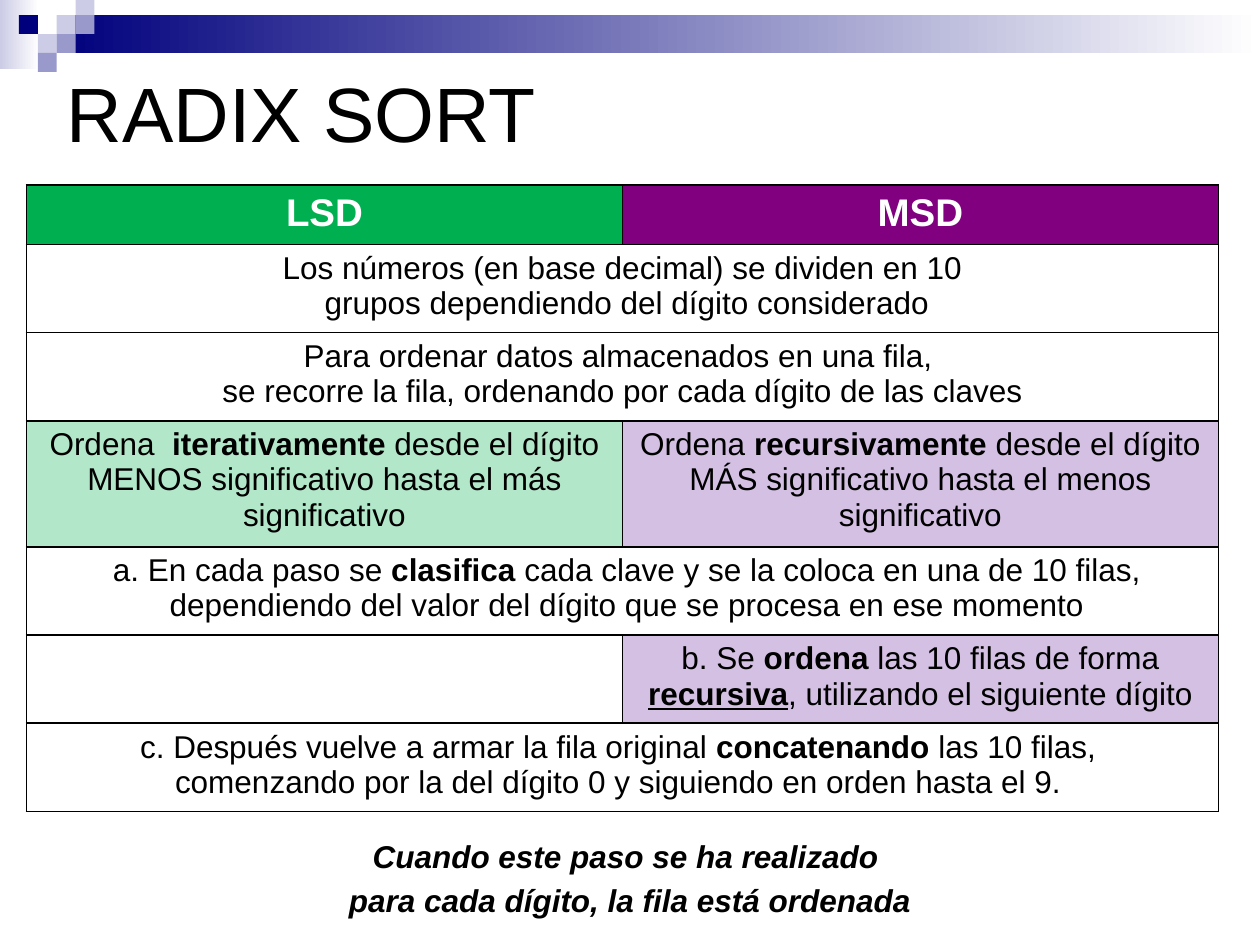
from typing import NamedTuple

from lxml import etree
from pptx import Presentation
from pptx.dml.color import RGBColor
from pptx.enum.shapes import MSO_SHAPE
from pptx.enum.text import MSO_ANCHOR, MSO_AUTO_SIZE, PP_ALIGN
from pptx.oxml.ns import qn
from pptx.util import Inches, Pt

RECT = MSO_SHAPE.RECTANGLE
CENTER, LEFT = PP_ALIGN.CENTER, PP_ALIGN.LEFT
MIDDLE, NO_FIT = MSO_ANCHOR.MIDDLE, MSO_AUTO_SIZE.NONE

BLACK = RGBColor(0x00, 0x00, 0x00)
WHITE = RGBColor(0xFF, 0xFF, 0xFF)
NAVY = RGBColor(0x00, 0x00, 0x7D)
LILAC = RGBColor(0xCC, 0xCC, 0xE6)
LAVENDER = RGBColor(0x99, 0x99, 0xCC)
GREEN = RGBColor(0x00, 0xB0, 0x50)
PURPLE = RGBColor(0x80, 0x00, 0x80)
VIOLET = RGBColor(0x70, 0x30, 0xA0)

SQUARE = 0.15
COLUMN_WIDTH = 4.73
ROW_HEIGHTS = [0.47, 0.7, 0.7, 1, 0.7, 0.7, 0.7]
BODY = {"name": "Arial", "size": Pt(18), "bold": False}
HEADER = {"name": "Arial", "size": Pt(22), "bold": True}
BOLD = {"bold": True}
BOLD_UNDERLINED = {"bold": True, "underline": True}


class Run(NamedTuple):
    text: str
    extra: dict = {}


class Cell(NamedTuple):
    row: int
    col: int
    lines: list[list[Run]]
    fill: RGBColor = WHITE
    opacity: int = 100
    span: int = 1
    font: dict = BODY
    color: RGBColor = BLACK


class Square(NamedTuple):
    col: int
    row: int
    color: RGBColor


SQUARES = [
    Square(2, 1, LILAC), Square(3, 0, LILAC), Square(3, 1, LAVENDER),
    Square(1, 2, LILAC), Square(0, 1, NAVY), Square(2, 2, LAVENDER),
    Square(1, 3, LAVENDER),
]

CELLS = [
    Cell(0, 0, [[Run("LSD")]], GREEN, font=HEADER, color=WHITE),
    Cell(0, 1, [[Run("MSD")]], PURPLE, font=HEADER, color=WHITE),
    Cell(1, 0, [[Run("Los números (en base decimal) se dividen en 10")],
                [Run(" grupos dependiendo del dígito considerado")]], span=2),
    Cell(2, 0, [[Run("Para ordenar datos almacenados en una fila, ")],
                [Run("se recorre la fila, ordenando por cada dígito de las claves")]], span=2),
    Cell(3, 0, [[Run("Ordena  "), Run("iterativamente ", BOLD),
                 Run("desde el dígito MENOS significativo hasta el más significativo")]],
         GREEN, 30),
    Cell(3, 1, [[Run("Ordena "), Run("recursivamente", BOLD),
                 Run(" desde el dígito MÁS significativo hasta el menos significativo")]],
         VIOLET, 30),
    Cell(4, 0, [[Run(" a. En cada paso se "), Run("clasifica", BOLD),
                 Run(" cada clave y se la coloca en una de 10 filas,")],
                [Run(" dependiendo del valor del dígito que se procesa en ese momento")]],
         span=2),
    Cell(5, 0, []),
    Cell(5, 1, [[Run("b. Se "), Run("ordena", BOLD), Run(" las 10 filas de forma "),
                 Run("recursiva", BOLD_UNDERLINED),
                 Run(", utilizando el siguiente dígito")]], VIOLET, 30),
    Cell(6, 0, [[Run("c. Después vuelve a armar la fila original "),
                 Run("concatenando", BOLD), Run(" las 10 filas, ")],
                [Run("comenzando por la del dígito 0 y siguiendo en orden hasta el 9. ")]],
         span=2),
]


def add_rect(s, left: float, top: float, width: float, height: float,
             color: RGBColor, fade: bool = False) -> None:
    """Draw a borderless rectangle, optionally fading to white on the right."""
    sp = s.shapes.add_shape(RECT, Inches(left), Inches(top), Inches(width), Inches(height))
    sp.shadow.inherit = False
    sp.line.fill.background()
    if fade:
        sp.fill.gradient()
        sp.fill.gradient_angle = 0
        for stop, rgb, position in zip(sp.fill.gradient_stops, (color, WHITE), (0, 1)):
            stop.color.rgb = rgb
            stop.position = position
    else:
        sp.fill.solid()
        sp.fill.fore_color.rgb = color


def write_lines(tf, lines: list[list[Run]], font: dict, color: RGBColor,
                align=CENTER, space_before=Pt(0)) -> None:
    for i, line in enumerate(lines):
        p = tf.paragraphs[0] if i == 0 else tf.add_paragraph()
        p.alignment = align
        p.space_before = space_before
        for run in line:
            r = p.add_run()
            r.text = run.text
            for key, value in (font | run.extra).items():
                setattr(r.font, key, value)
            r.font.color.rgb = color


def set_borders(tc_pr) -> None:
    """Put a thin black line on each side; borders must precede the fill."""
    for i, tag in enumerate(("a:lnL", "a:lnR", "a:lnT", "a:lnB")):
        ln = etree.Element(qn(tag), w=str(Pt(1)))
        solid = etree.SubElement(ln, qn("a:solidFill"))
        etree.SubElement(solid, qn("a:srgbClr"), val=str(BLACK))
        tc_pr.insert(i, ln)


def fill_cell(table, item: Cell) -> None:
    cell = table.cell(item.row, item.col)
    if item.span > 1:
        cell.merge(table.cell(item.row, item.col + item.span - 1))
    write_lines(cell.text_frame, item.lines, item.font, item.color)
    for col in range(item.col, item.col + item.span):
        part = table.cell(item.row, col)
        part.fill.solid()
        part.fill.fore_color.rgb = item.fill
        tc_pr = part._tc.get_or_add_tcPr()
        if item.opacity < 100:
            rgb = tc_pr.find(".//" + qn("a:srgbClr"))
            etree.SubElement(rgb, qn("a:alpha"), val=str(item.opacity * 1000))
        set_borders(tc_pr)


def add_banner(s) -> None:
    add_rect(s, 0, -0.03, 0.31, 0.58, LILAC, fade=True)
    add_rect(s, 0.45, 0.12, 9.55, 0.3, NAVY, fade=True)
    for sq in SQUARES:
        add_rect(s, 0.15 + sq.col * SQUARE, -0.03 + sq.row * SQUARE,
                 SQUARE, SQUARE, sq.color)


def add_title(s) -> None:
    title = s.shapes.title
    title.left, title.top = Inches(0.43), Inches(0.28)
    title.width, title.height = Inches(9), Inches(1.22)
    tf = title.text_frame
    tf.auto_size, tf.vertical_anchor = NO_FIT, MIDDLE
    write_lines(tf, [[Run("RADIX SORT")]], {"name": "Arial", "size": Pt(44)}, BLACK, LEFT)


def add_comparison(s) -> None:
    table = s.shapes.add_table(
        len(ROW_HEIGHTS), 2, Inches(0.21), Inches(1.47),
        Inches(2 * COLUMN_WIDTH), Inches(sum(ROW_HEIGHTS))).table
    for column in table.columns:
        column.width = Inches(COLUMN_WIDTH)
    for row, height in zip(table.rows, ROW_HEIGHTS):
        row.height = Inches(height)
    for item in CELLS:
        fill_cell(table, item)


def add_conclusion(s) -> None:
    tf = s.shapes.add_textbox(0, Inches(6.59), Inches(10), Inches(0.77)).text_frame
    tf.word_wrap = True
    lines = [[Run("Cuando este paso se ha realizado ")],
             [Run("para cada dígito, la fila está ordenada")]]
    write_lines(tf, lines, BODY | {"bold": True, "italic": True}, BLACK,
                space_before=Pt(4))


def main() -> None:
    prs = Presentation()
    prs.slide_width, prs.slide_height = Inches(10), Inches(7.5)
    s = prs.slides.add_slide(prs.slide_layouts[5])
    add_banner(s)
    add_title(s)
    add_comparison(s)
    add_conclusion(s)
    prs.save("out.pptx")


if __name__ == "__main__":
    main()
